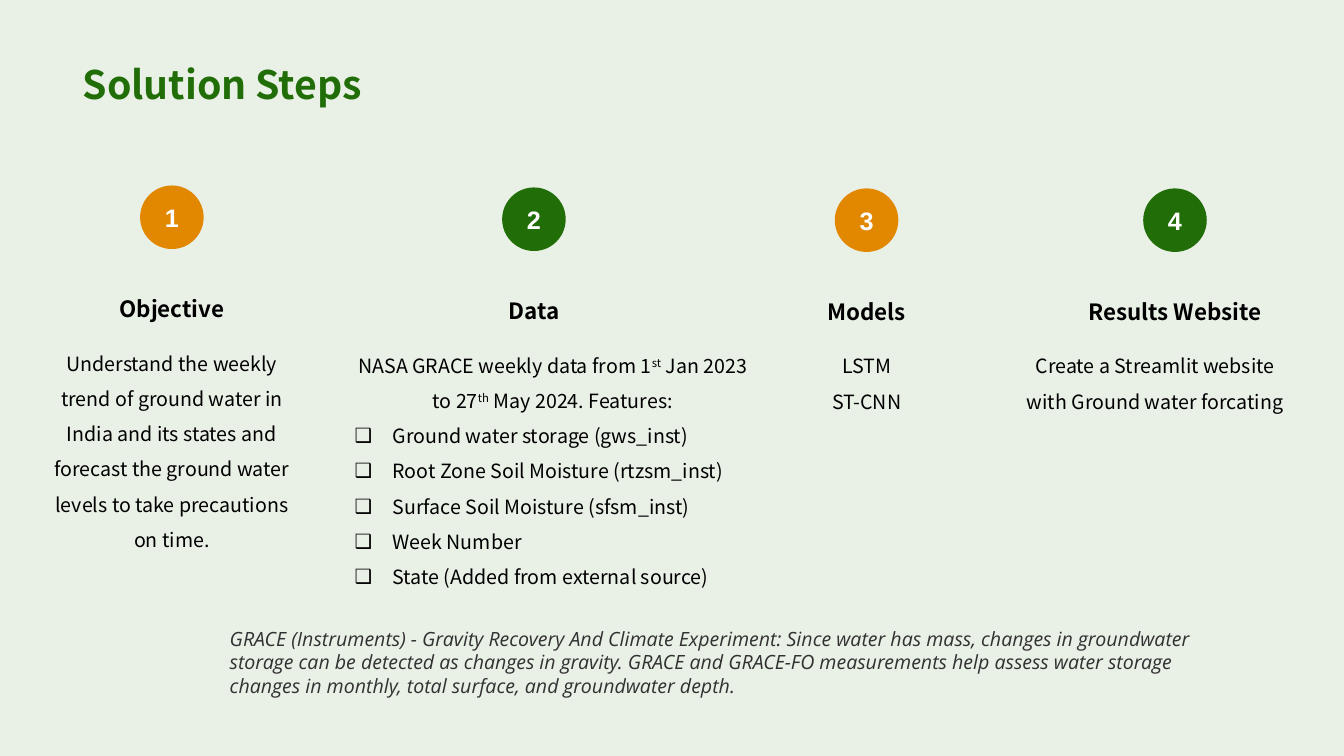
from dataclasses import dataclass

from lxml.etree import SubElement
from pptx import Presentation
from pptx.dml.color import RGBColor
from pptx.enum.shapes import MSO_SHAPE
from pptx.enum.text import MSO_ANCHOR, MSO_AUTO_SIZE, PP_ALIGN
from pptx.oxml.ns import qn
from pptx.util import Pt


@dataclass(frozen=True)
class Theme:
    background: RGBColor = RGBColor(0xE9, 0xF0, 0xE6)
    green: RGBColor = RGBColor(0x21, 0x6E, 0x08)
    orange: RGBColor = RGBColor(0xE2, 0x87, 0x00)
    black: RGBColor = RGBColor(0, 0, 0)
    white: RGBColor = RGBColor(0xFF, 0xFF, 0xFF)
    grey: RGBColor = RGBColor(0x32, 0x32, 0x32)
    face: str = "Noto Sans CJK SC"
    number_face: str = "Arial"
    note_face: str = "Open Sans"
    title_size: Pt = Pt(28)
    number_size: Pt = Pt(18)
    heading_size: Pt = Pt(16)
    body_size: Pt = Pt(14)


theme = Theme()


def style(para, size, color, face=theme.face, bold=False, align=PP_ALIGN.CENTER):
    para.alignment = align
    para.font.size = size
    para.font.color.rgb = color
    para.font.name = face
    para.font.bold = bold


def place(box, left, top, width, height, anchor=MSO_ANCHOR.TOP):
    box.left, box.top, box.width, box.height = Pt(left), Pt(top), Pt(width), Pt(height)
    frame = box.text_frame
    frame.word_wrap = True
    frame.auto_size = MSO_AUTO_SIZE.NONE
    frame.vertical_anchor = anchor
    return frame


deck = Presentation()
deck.slide_width, deck.slide_height = Pt(960), Pt(540)
page = deck.slides.add_slide(deck.slide_layouts[1])
page.background.fill.solid()
page.background.fill.fore_color.rgb = theme.background

# Title
title = place(page.shapes.title, 51.8, 0, 855.4, 80.6, MSO_ANCHOR.BOTTOM)
title.text = "Solution Steps"
style(title.paragraphs[0], theme.title_size, theme.green, bold=True, align=PP_ALIGN.LEFT)

# Steps: heading, circle centre and top, body left, width and height, body lines
# Each body line is a list of pieces; every second piece is a superscript
steps = [
    ("Objective", 122.8, 132.5, 23.8, 198, 157,
     [["Understand the weekly trend of ground water in India and its states "
       "and forecast the ground water levels to take precautions on time."]]),
    ("Data", 381.4, 133.9, 246.2, 297.4, 182.2,
     [["NASA GRACE weekly data from 1", "st", " Jan 2023 to 27", "th",
       " May 2024. Features:"],
      ["Ground water storage (gws_inst)"],
      ["Root Zone Soil Moisture (rtzsm_inst)"],
      ["Surface Soil Moisture (sfsm_inst)"],
      ["Week Number"],
      ["State (Added from external source)"]]),
    ("Models", 619, 134.6, 481.7, 275, 80.6, [["LSTM"], ["ST-CNN"]]),
    ("Results Website", 839.3, 134.6, 717.8, 214.6, 55.4,
     [["Create a Streamlit website with Ground water forcating"]]),
]
diameter, heading_width = 45.4, 275

for number, (name, center, top, left, width, height, lines) in enumerate(steps, 1):
    # Numbered circle
    circle = page.shapes.add_shape(
        MSO_SHAPE.OVAL, Pt(center - diameter / 2), Pt(top), Pt(diameter), Pt(diameter))
    circle.shadow.inherit = False
    circle.fill.solid()
    circle.fill.fore_color.rgb = theme.orange if number % 2 else theme.green
    circle.line.fill.background()
    circle.text_frame.text = str(number)
    circle.text_frame.vertical_anchor = MSO_ANCHOR.MIDDLE
    style(circle.text_frame.paragraphs[0], theme.number_size, theme.white,
          theme.number_face, bold=True)

    # Heading
    heading = place(page.shapes.add_textbox(0, 0, 0, 0), center - heading_width / 2,
                    top + 74.4, heading_width, 26.6, MSO_ANCHOR.BOTTOM)
    heading.text = name
    style(heading.paragraphs[0], theme.heading_size, theme.black, bold=True)

    # Body, with the feature list in the body placeholder
    is_list = name == "Data"
    box = page.placeholders[1] if is_list else page.shapes.add_textbox(0, 0, 0, 0)
    body = place(box, left, top + 106.6, width, height)
    for index, pieces in enumerate(lines):
        para = body.add_paragraph() if index else body.paragraphs[0]
        bulleted = is_list and index > 0
        style(para, theme.body_size, theme.black,
              align=PP_ALIGN.JUSTIFY if bulleted else PP_ALIGN.CENTER)
        para.line_spacing = 1.5
        para.space_before = Pt(0)
        for position, piece in enumerate(pieces):
            span = para.add_run()
            span.text = piece
            if position % 2:
                span.font._element.set("baseline", "30000")
        if is_list:
            properties = para._p.get_or_add_pPr()
            indent = Pt(27) if bulleted else 0
            properties.set("marL", str(indent))
            properties.set("indent", str(-indent))
            bullet = properties.makeelement(qn("a:buChar" if bulleted else "a:buNone"))
            if bulleted:
                bullet.set("char", "❑")
            properties.find(qn("a:spcBef")).addnext(bullet)

# Note on the instruments
note = place(page.shapes.add_textbox(0, 0, 0, 0), 157, 444.2, 714.2, 58.3)
note.text = (
    "GRACE (Instruments) - Gravity Recovery And Climate Experiment: Since water has mass, "
    "changes in groundwater storage can be detected as changes in gravity. GRACE and "
    "GRACE-FO measurements help assess water storage changes in monthly, total surface, "
    "and groundwater depth.")
style(note.paragraphs[0], theme.body_size, theme.grey, theme.note_face, align=PP_ALIGN.LEFT)
note.paragraphs[0].font.italic = True

deck.save("out.pptx")
